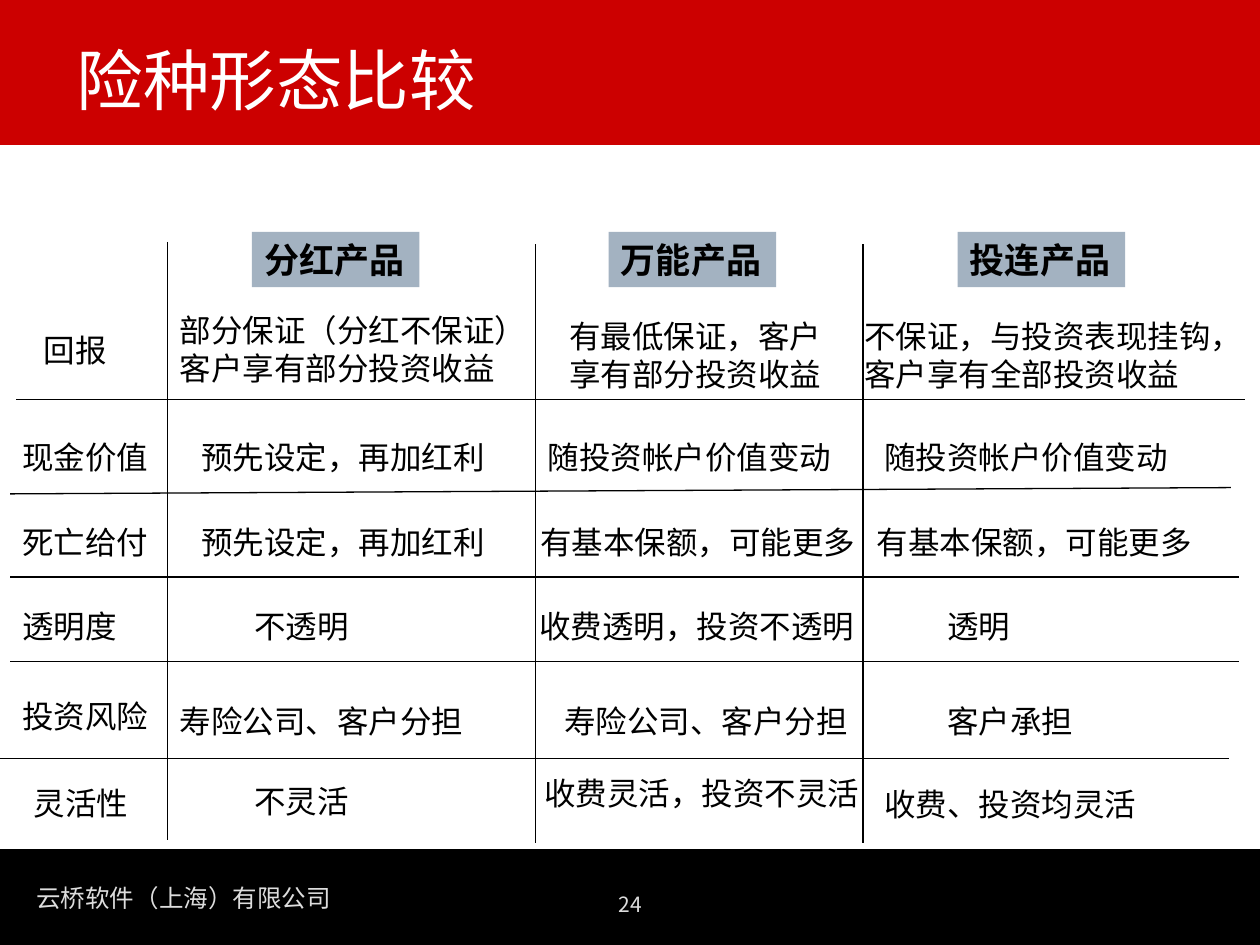
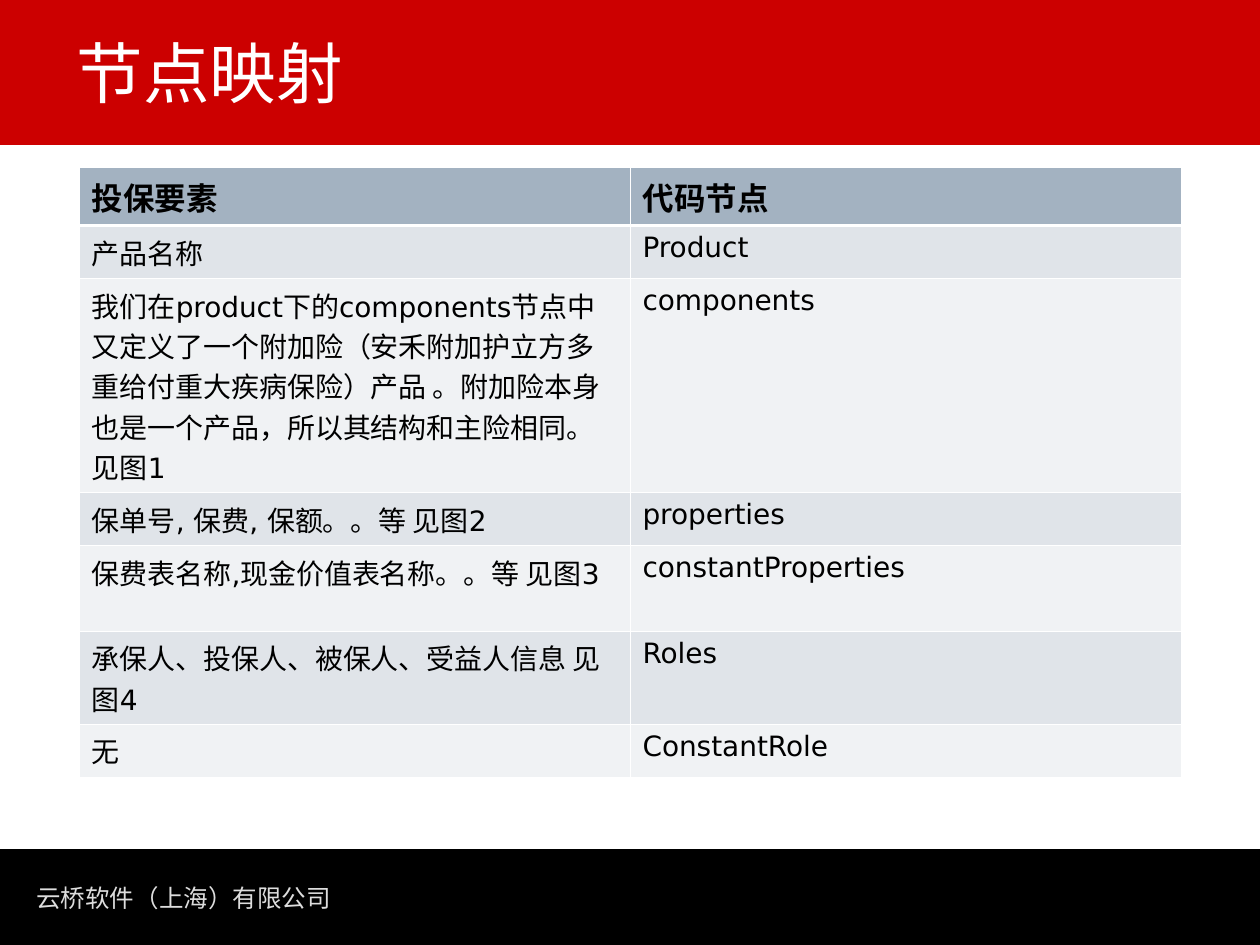
"""Build two slides: insurance type comparison and node mapping."""
from dataclasses import dataclass

from lxml import etree
from pptx import Presentation
from pptx import util as u
from pptx.dml.color import RGBColor
from pptx.enum import shapes, text
from pptx.oxml.ns import qn

RED = RGBColor(0xCC, 0x00, 0x00)
BLACK = RGBColor(0x00, 0x00, 0x00)
WHITE = RGBColor(0xFF, 0xFF, 0xFF)
PALE = RGBColor(0xDD, 0xDD, 0xDD)
STEEL = RGBColor(0xA3, 0xB2, 0xC1)
STRIPES = (RGBColor(0xE0, 0xE4, 0xE9), RGBColor(0xF0, 0xF2, 0xF4))
SANS = "DejaVu Sans"
CJK = "Noto Sans CJK SC"
LEADING = 1.2
COMPANY = "云桥软件（上海）有限公司"


@dataclass(frozen=True)
class Label:
    """Text with its place in inches."""
    words: str
    left: float
    top: float
    width: float
    height: float = 0.4


@dataclass(frozen=True)
class Rule:
    """Straight line between two points in inches."""
    x1: float
    y1: float
    x2: float
    y2: float


PRODUCTS = [Label(name, left, 1.84, 1.33, 0.44) for name, left in
            (("分红产品", 2), ("万能产品", 4.83), ("投连产品", 7.6))]
ASPECTS = [
    Label("回报", 0.25, 2.58, 0.83),
    Label("现金价值", 0.08, 3.43, 1.25),
    Label("死亡给付", 0.08, 4.1, 1.25),
    Label("透明度", 0.08, 4.77, 1.25),
    Label("投资风险", 0.08, 5.48, 1.25),
    Label("灵活性", 0.17, 6.17, 1),
]
FINDINGS = [
    Label("部分保证（分红不保证）客户享有部分投资收益", 1.33, 2.42, 3, 0.7),
    Label("有最低保证，客户享有部分投资收益", 4.42, 2.47, 2.33, 0.7),
    Label("不保证，与投资表现挂钩，客户享有全部投资收益", 6.76, 2.47, 3.33, 0.7),
    Label("预先设定，再加红利", 1.5, 3.43, 2.67),
    Label("随投资帐户价值变动", 4.25, 3.43, 2.67),
    Label("随投资帐户价值变动", 6.92, 3.43, 2.67),
    Label("预先设定，再加红利", 1.5, 4.1, 2.67),
    Label("有基本保额，可能更多", 4.19, 4.1, 2.89),
    Label("有基本保额，可能更多", 6.86, 4.1, 2.89),
    Label("不透明", 1.92, 4.77, 1.58),
    Label("收费透明，投资不透明", 4.18, 4.77, 2.86),
    Label("透明", 7.42, 4.77, 1.58),
    Label("寿险公司、客户分担", 1.33, 5.52, 3),
    Label("寿险公司、客户分担", 4.38, 5.52, 2.72),
    Label("客户承担", 7.42, 5.52, 1.58),
    Label("不灵活", 1.92, 6.16, 1.58),
    Label("收费灵活，投资不灵活", 4.22, 6.09, 2.75),
    Label("收费、投资均灵活", 6.92, 6.18, 2.75),
]
RULES = [
    Rule(0.13, 3.17, 9.88, 3.17),
    Rule(0.08, 3.92, 9.77, 3.87),
    Rule(0.08, 4.58, 9.83, 4.58),
    Rule(0.08, 5.25, 9.83, 5.25),
    Rule(0, 6.02, 9.75, 6.02),
    Rule(1.33, 1.92, 1.33, 6.67),
    Rule(4.25, 1.94, 4.25, 6.69),
    Rule(6.85, 1.94, 6.85, 6.69),
]
MAPPING = [
    ("投保要素", "代码节点", 0.46),
    ("产品名称", "Product", 0.42),
    ("我们在product下的components节点中又定义了一个附加险（安禾附加护立方多重给付"
     "重大疾病保险）产品 。附加险本身也是一个产品，所以其结构和主险相同。见图1",
     "components", 1.7),
    ("保单号, 保费, 保额。。等 见图2", "properties", 0.42),
    ("保费表名称,现金价值表名称。。等 见图3", "constantProperties", 0.68),
    ("承保人、投保人、被保人、受益人信息 见图4", "Roles", 0.74),
    ("无", "ConstantRole", 0.42),
]


def write(frame, words: str, *, size: float = 18, color: RGBColor = BLACK,
          font: str = CJK, bold: bool = False, align=text.PP_ALIGN.LEFT,
          leading: float | None = LEADING) -> None:
    """Put one formatted paragraph into a text frame."""
    paragraph = frame.paragraphs[0]
    paragraph.alignment = align
    paragraph._p.get_or_add_pPr().set("hangingPunct", "0")
    if leading:
        paragraph.line_spacing = u.Pt(round(size * leading, 1))
    run = paragraph.add_run()
    run.text = words
    run.font.size = u.Pt(size)
    run.font.bold = bold
    run.font.color.rgb = color
    run.font.name = font
    east_asian = etree.SubElement(run.font._element, qn("a:ea"))
    east_asian.set("typeface", CJK)


def add_block(slide, left: float, top: float, width: float, height: float,
              color: RGBColor):
    """Draw a plain filled rectangle."""
    block = slide.shapes.add_shape(
        shapes.MSO_SHAPE.RECTANGLE, u.Inches(left), u.Inches(top),
        u.Inches(width), u.Inches(height))
    block.shadow.inherit = False
    block.fill.solid()
    block.fill.fore_color.rgb = color
    block.line.fill.background()
    return block


def add_label(slide, label: Label, *, fill: RGBColor | None = None,
              anchor=text.MSO_ANCHOR.TOP, wrap: bool = True, **style) -> None:
    """Draw a label, on a filled block if a fill is given."""
    place = (label.left, label.top, label.width, label.height)
    if fill is None:
        holder = slide.shapes.add_textbox(*map(u.Inches, place))
    else:
        holder = add_block(slide, *place, fill)
    frame = holder.text_frame
    frame.word_wrap = wrap
    frame.vertical_anchor = anchor
    frame.margin_left = frame.margin_right = u.Inches(0.1)
    frame.margin_top = frame.margin_bottom = u.Inches(0.05)
    write(frame, label.words, **style)


def add_rule(slide, rule: Rule) -> None:
    """Draw a thin black line without a shadow."""
    line = slide.shapes.add_connector(
        shapes.MSO_CONNECTOR.STRAIGHT,
        *map(u.Inches, (rule.x1, rule.y1, rule.x2, rule.y2)))
    line.line.color.rgb = BLACK
    line.line.width = u.Pt(0.75)
    etree.SubElement(line._element.spPr, qn("a:effectLst"))


def add_slide(deck, title: str, title_top: float):
    """Add a slide with the title band and the company footer."""
    slide = deck.slides.add_slide(deck.slide_layouts[6])
    add_block(slide, 0, 0, 10, 1.15, RED)
    add_block(slide, 0, 6.74, 10, 0.76, BLACK)
    add_label(slide, Label(COMPANY, 0.19, 6.96, 2.54, 0.34), wrap=False,
              size=14, color=PALE, font=SANS)
    add_label(slide, Label(title, 0.51, title_top, 8.75, 0.94),
              anchor=text.MSO_ANCHOR.BOTTOM, size=38, color=WHITE)
    return slide


def set_borders(cell, top: float, bottom: float) -> None:
    """Give a cell white borders, with widths in points."""
    properties = cell._tc.get_or_add_tcPr()
    for side, width in (("L", 0.45), ("R", 0.45), ("T", top), ("B", bottom)):
        edge = etree.SubElement(properties, qn(f"a:ln{side}"))
        edge.set("w", str(u.Pt(width)))
        paint = etree.SubElement(edge, qn("a:solidFill"))
        etree.SubElement(paint, qn("a:srgbClr")).set("val", str(WHITE))


def build_comparison(deck) -> None:
    """Build the comparison of the three insurance types."""
    slide = add_slide(deck, "险种形态比较", 0.05)
    add_label(slide, Label("24", 3.42, 7.03, 3.17, 0.34), size=12,
              color=PALE, align=text.PP_ALIGN.CENTER)
    for product in PRODUCTS:
        add_label(slide, product, fill=STEEL, size=20, bold=True)
    for label in ASPECTS + FINDINGS:
        add_label(slide, label)
    for rule in RULES:
        add_rule(slide, rule)


def build_mapping(deck) -> None:
    """Build the table that maps policy elements to code nodes."""
    slide = add_slide(deck, "节点映射", 0)
    table = slide.shapes.add_table(
        len(MAPPING), 2, u.Inches(0.63), u.Inches(1.33), u.Inches(8.75),
        u.Inches(sum(height for _, _, height in MAPPING))).table
    for column, width in zip(table.columns, (4.37, 4.38)):
        column.width = u.Inches(width)
    for index, (element, node, height) in enumerate(MAPPING):
        table.rows[index].height = u.Inches(height)
        header = index == 0
        for position, words in enumerate((element, node)):
            cell = table.cell(index, position)
            set_borders(cell, top=1.47 if index == 1 else 0.45,
                        bottom=1.47 if header else 0.45)
            cell.fill.solid()
            cell.fill.fore_color.rgb = STEEL if header else STRIPES[(index - 1) % 2]
            write(cell.text_frame, words, size=18 if header else 16,
                  font=SANS, bold=header, leading=None)


def main() -> None:
    """Build and save the deck."""
    deck = Presentation()
    deck.slide_width, deck.slide_height = u.Inches(10), u.Inches(7.5)
    build_comparison(deck)
    build_mapping(deck)
    deck.save("out.pptx")


if __name__ == "__main__":
    main()
